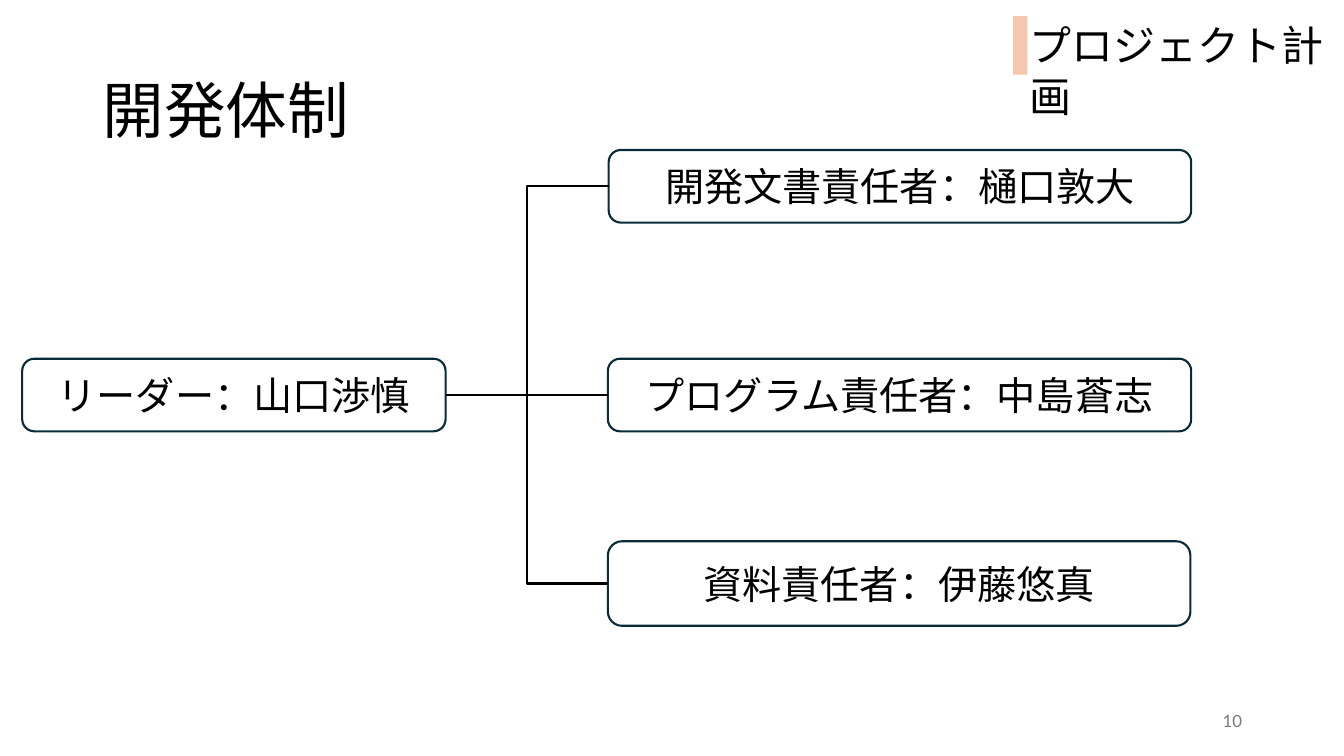
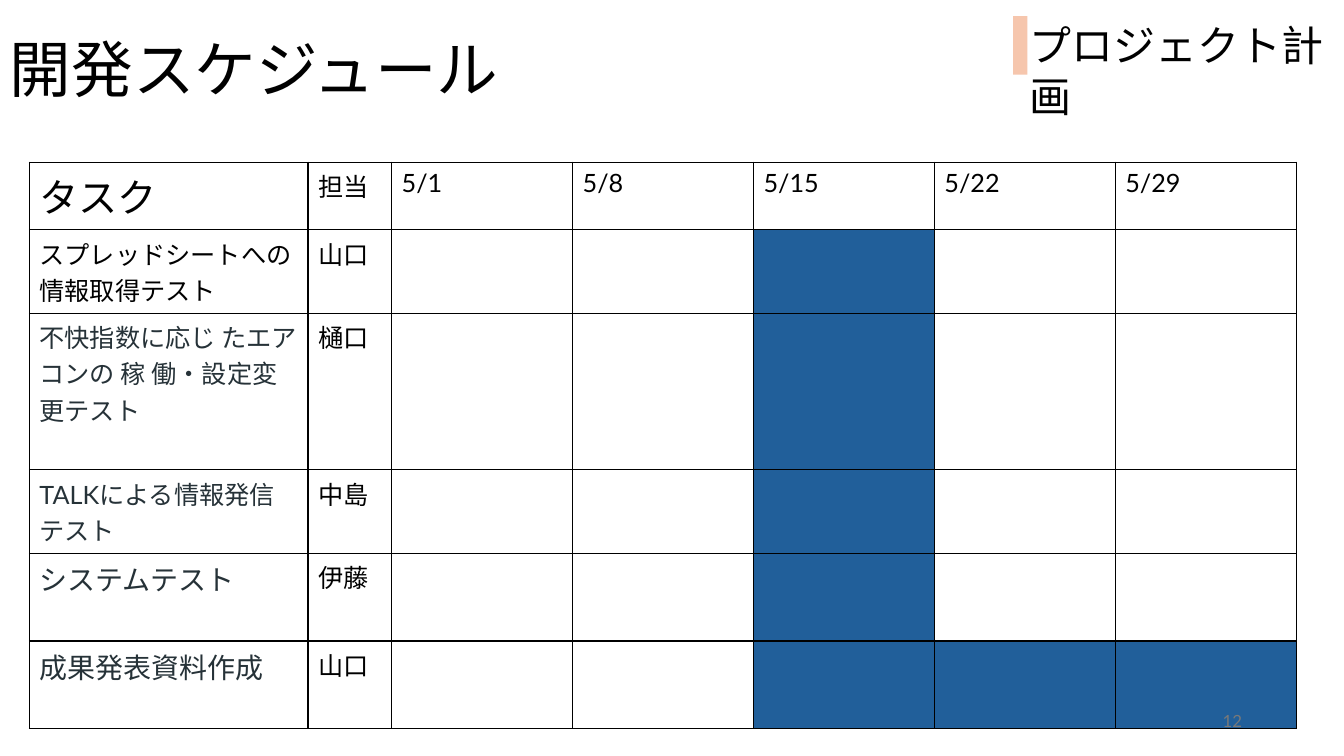
from lxml.etree import SubElement
from pptx import Presentation
from pptx.dml.color import RGBColor
from pptx.enum.shapes import MSO_CONNECTOR, MSO_SHAPE
from pptx.enum.text import MSO_ANCHOR, PP_ALIGN
from pptx.oxml.ns import qn
from pptx.util import Cm, Pt

BLACK = RGBColor(0x00, 0x00, 0x00)
WHITE = RGBColor(0xFF, 0xFF, 0xFF)
OUTLINE = RGBColor(0x09, 0x2A, 0x39)
ACCENT = RGBColor(0xF6, 0xC6, 0xAD)
SLATE = RGBColor(0x26, 0x32, 0x38)
BAR_BLUE = RGBColor(0x21, 0x5F, 0x9A)
GREY = RGBColor(0x79, 0x79, 0x79)
FONT = "Lato"

SECTION = "プロジェクト計画"
LEADER = ("リーダー：山口渉慎", (0.56, 9.04, 10.67, 1.83))
MEMBERS = [
    ("開発文書責任者：樋口敦大", (15.34, 3.78, 14.68, 1.83)),
    ("プログラム責任者：中島蒼志", (15.32, 9.04, 14.7, 1.83)),
    ("資料責任者：伊藤悠真", (15.32, 13.64, 14.68, 2.13)),
]
DATES = ["5/1", "5/8", "5/15", "5/22", "5/29"]
HEADER = [("タスク", 28), ("担当", 18)] + [(date, 18) for date in DATES]
TASKS = [
    ("スプレッドシートへの情報取得テスト", 18, BLACK, "山口", ["5/15"]),
    ("不快指数に応じ たエアコンの 稼 働・設定変更テスト", 18, SLATE, "樋口", ["5/15"]),
    ("TALKによる情報発信テスト", 18, SLATE, "中島", ["5/15"]),
    ("システムテスト", 20, SLATE, "伊藤", ["5/15"]),
    ("成果発表資料作成", 20, SLATE, "山口", ["5/15", "5/22", "5/29"]),
]
COLUMN_WIDTHS = [7.02, 2.11] + [4.56] * len(DATES)
ROW_HEIGHTS = [1.7, 2.1, 3.95, 2.1, 2.21, 2.21]


def cm(box):
    return [Cm(length) for length in box]


def write(frame, text, size=18, color=BLACK, align=PP_ALIGN.LEFT, spacing=None):
    paragraph = frame.paragraphs[0]
    paragraph.alignment = align
    paragraph.line_spacing = spacing
    run = paragraph.add_run()
    run.text = text
    run.font.name = FONT
    run.font.size = Pt(size)
    run.font.color.rgb = color


def add_text(slide, text, box, anchor=MSO_ANCHOR.MIDDLE, **style):
    frame = slide.shapes.add_textbox(*cm(box)).text_frame
    frame.word_wrap = True
    frame.vertical_anchor = anchor
    write(frame, text, **style)


def add_block(slide, kind, box, fill, line=None):
    block = slide.shapes.add_shape(kind, *cm(box))
    block.shadow.inherit = False
    block.fill.solid()
    block.fill.fore_color.rgb = fill
    if line is None:
        block.line.fill.background()
    else:
        block.line.color.rgb = line
        block.line.width = Pt(1.5)
    return block


def add_role(slide, text, box):
    role = add_block(slide, MSO_SHAPE.FLOWCHART_ALTERNATE_PROCESS, box, WHITE, OUTLINE)
    role.text_frame.vertical_anchor = MSO_ANCHOR.MIDDLE
    write(role.text_frame, text, size=28, align=PP_ALIGN.CENTER)
    return role


def join(slide, leader, member):
    level = leader.top == member.top
    kind = MSO_CONNECTOR.STRAIGHT if level else MSO_CONNECTOR.ELBOW
    branch = slide.shapes.add_connector(kind, 0, 0, 0, 0)
    branch.begin_connect(leader, 3)
    branch.end_connect(member, 1)
    branch.line.color.rgb = BLACK
    branch.line.width = Pt(1.5)
    SubElement(branch.element.spPr, qn("a:effectLst"))


def add_borders(cell):
    properties = cell._tc.get_or_add_tcPr()
    for side in ("a:lnL", "a:lnR", "a:lnT", "a:lnB"):
        border = SubElement(properties, qn(side), w=str(Pt(1)))
        fill = SubElement(border, qn("a:solidFill"))
        SubElement(fill, qn("a:srgbClr"), val=str(BLACK))


def add_schedule(slide):
    box = (0.74, 4.09, sum(COLUMN_WIDTHS), sum(ROW_HEIGHTS))
    schedule = slide.shapes.add_table(len(ROW_HEIGHTS), len(COLUMN_WIDTHS), *cm(box)).table
    schedule.first_row = schedule.horz_banding = False
    for column, width in zip(schedule.columns, COLUMN_WIDTHS):
        column.width = Cm(width)
    for row, height in zip(schedule.rows, ROW_HEIGHTS):
        row.height = Cm(height)
    for cell in schedule.iter_cells():
        add_borders(cell)
        cell.fill.background()
    for column, (label, size) in enumerate(HEADER):
        write(schedule.cell(0, column).text_frame, label, size=size)
    for row, (task, size, color, owner, active) in enumerate(TASKS, 1):
        write(schedule.cell(row, 0).text_frame, task, size=size, color=color)
        write(schedule.cell(row, 1).text_frame, owner)
        for date in active:
            fill = schedule.cell(row, 2 + DATES.index(date)).fill
            fill.solid()
            fill.fore_color.rgb = BAR_BLUE


def add_organization(slide):
    leader = add_role(slide, *LEADER)
    for text, box in MEMBERS:
        join(slide, leader, add_role(slide, text, box))


def add_page(deck, title, left, top, number, add_body):
    slide = deck.slides.add_slide(deck.slide_layouts[6])
    add_text(slide, title, (left, top, 29.21, 3.68), size=44, spacing=0.9)
    add_body(slide)
    add_text(slide, number, (23.93, 17.65, 7.62, 1.02), size=12, color=GREY,
             align=PP_ALIGN.RIGHT)
    add_text(slide, SECTION, (25.7, 0.38, 8.15, 1.55), anchor=MSO_ANCHOR.TOP, size=30)
    add_block(slide, MSO_SHAPE.RECTANGLE, (25.53, 0.41, 0.36, 1.47), ACCENT)


def main():
    """Build the project plan slides."""
    deck = Presentation()
    deck.slide_width, deck.slide_height = Cm(33.87), Cm(19.05)
    add_page(deck, "開発体制", 2.34, 1.02, "10", add_organization)
    add_page(deck, "開発スケジュール", 0, 0, "12", add_schedule)
    deck.save("out.pptx")


if __name__ == "__main__":
    main()
